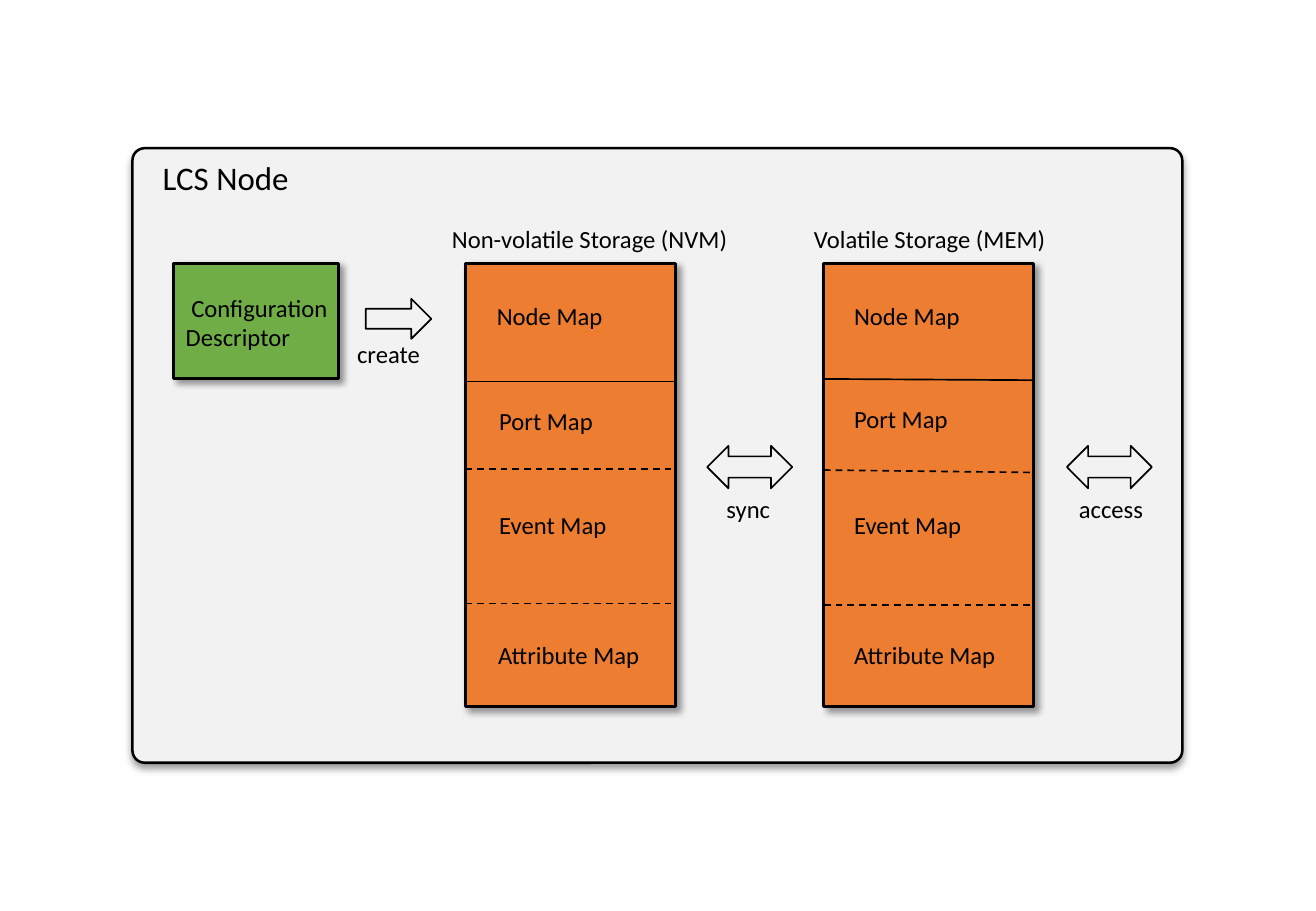
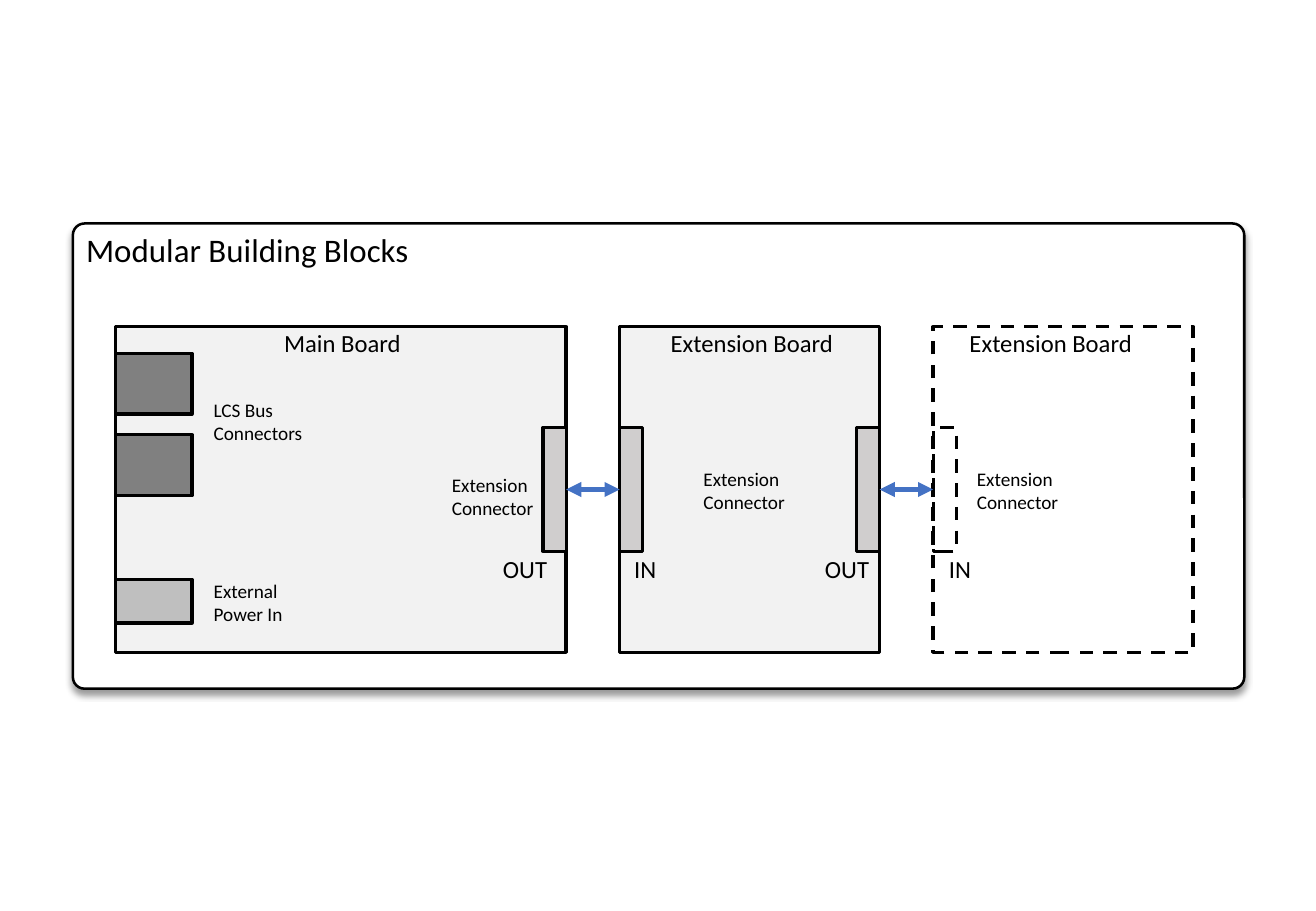
import pptx
import pptx.util
import pptx.dml.color
import pptx.enum.dml
import pptx.enum.shapes
import pptx.oxml.ns
from lxml import etree

PX = 9144  # 100 px to the inch
FONT = "Calibri"
TITLE, BODY, SMALL = 19.5, 14.6, 11.4
COLOR = {
    "ink": "000000", "paper": "FFFFFF", "panel": "F2F2F2",
    "green": "70AD47", "orange": "ED7D31", "blue": "4472C4",
    "bus": "808080", "power": "BFBFBF", "socket": "D0CECE",
}
KIND = pptx.enum.shapes.MSO_SHAPE
qn = pptx.oxml.ns.qn

# Slide 1: text, left, top, width
STORES = [
    {"left": 383, "head": ("Non-volatile Storage (NVM)", 362, 249),
     "lines": [(314, 314, False), (386, 386, True), (497, 497, True)],
     "maps": [("Node Map", 399, 243, 108), ("Port Map", 401, 329, 98),
              ("Event Map", 401, 415, 109), ("Attribute Map", 400, 522, 138)]},
    {"left": 678, "head": ("Volatile Storage (MEM)", 660, 212),
     "lines": [(312, 313, False), (387, 389, True), (498, 498, True)],
     "maps": [("Node Map", 693, 243, 108), ("Port Map", 693, 328, 98),
              ("Event Map", 693, 415, 109), ("Attribute Map", 693, 522, 138)]},
]
STORE_TOP, STORE_W, STORE_H = 217, 173, 365
FLOWS = [  # arrow kind, arrow box, label
    (KIND.RIGHT_ARROW, (301, 246, 54, 33), ("create", 284, 274, 72)),
    (KIND.LEFT_RIGHT_ARROW, (582, 367, 70, 35), ("sync", 588, 402, 56)),
    (KIND.LEFT_RIGHT_ARROW, (878, 367, 70, 35), ("access", 878, 402, 73)),
]

# Slide 2
BOARD_TOP, BOARD_H = 269, 268
SOCKET_W, SOCKET_H = 19, 102
SOCKET_TOP = BOARD_TOP + (BOARD_H - SOCKET_H) // 2
PORT_W = 63
BOARDS = [  # left, width, dashed, sides that carry a socket
    (95, 371, False, ["out"]),
    (510, 214, False, ["in", "out"]),
    (768, 214, True, ["in"]),
]
PORTS = [(291, 50, "bus"), (358, 50, "bus"), (477, 36, "power")]
LABELS = [
    ("Main Board", 224, 265, 117), ("Extension Board", 542, 265, 155),
    ("Extension Board", 788, 265, 155), ("OUT", 404, 451, 57),
    ("IN", 512, 451, 39), ("OUT", 669, 451, 57), ("IN", 771, 451, 39),
]
NOTES = [
    ("LCS Bus\nConnectors", 166, 323, 94),
    ("External\nPower In", 166, 472, 78),
    ("Extension\nConnector", 362, 385, 88),
    ("Extension\nConnector", 569, 380, 88),
    ("Extension\nConnector", 794, 380, 88),
]


def rgb(name):
    return pptx.dml.color.RGBColor.from_string(COLOR[name])


def stroke(line, width, dash=False, color="ink"):
    line.color.rgb = rgb(color)
    line.width = pptx.util.Pt(width)
    if dash:
        line.dash_style = pptx.enum.dml.MSO_LINE.DASH


def cast(shape, angle):
    """Give the shape a soft drop shadow falling at an angle in degrees."""
    glow = etree.SubElement(
        shape._element.spPr.find(qn("a:effectLst")), qn("a:outerShdw"),
        blurRad="50800", dist="38100", dir=str(angle * 60000),
        algn="t", rotWithShape="0")
    ink = etree.SubElement(glow, qn("a:srgbClr"), val=COLOR["ink"])
    etree.SubElement(ink, qn("a:alpha"), val="40000")


def block(slide, box, fill=None, width=2, dash=False, kind=KIND.RECTANGLE, angle=None):
    shape = slide.shapes.add_shape(kind, *(n * PX for n in box))
    shape.shadow.inherit = False
    if fill:
        shape.fill.solid()
        shape.fill.fore_color.rgb = rgb(fill)
    else:
        shape.fill.background()
    stroke(shape.line, width, dash)
    if angle is not None:
        cast(shape, angle)
    return shape


def rule(slide, start, end, width, dash=False, color="ink"):
    line = slide.shapes.add_connector(
        pptx.enum.shapes.MSO_CONNECTOR.STRAIGHT, *(n * PX for n in start + end))
    stroke(line.line, width, dash, color)
    etree.SubElement(line._element.spPr, qn("a:effectLst"))
    return line


def label(slide, text, left, top, width, size=BODY):
    rows = text.split("\n")
    high = round(len(rows) * size * 1.2 / 0.72) + 10
    box = slide.shapes.add_textbox(left * PX, top * PX, width * PX, high * PX)
    frame = box.text_frame
    frame.word_wrap = False
    frame.text = text
    for para in frame.paragraphs:
        para.font.name = FONT
        para.font.size = pptx.util.Pt(size)
        para.font.color.rgb = rgb("ink")


def panel(deck, box, fill, round_by, title):
    """Add a slide holding one titled, rounded panel."""
    slide = deck.slides.add_slide(deck.slide_layouts[6])
    shape = block(slide, box, fill, 1.5, kind=KIND.ROUNDED_RECTANGLE, angle=90)
    shape.adjustments[0] = round_by
    label(slide, *title, size=TITLE)
    return slide


def link(slide, left, right):
    """Join two sockets with a double-headed arrow."""
    mid = SOCKET_TOP + SOCKET_H // 2
    line = rule(slide, (466, mid), (510, mid), 3, color="blue")
    line.begin_connect(left, 3)
    line.end_connect(right, 1)
    for end in ("headEnd", "tailEnd"):
        etree.SubElement(line.line._get_or_add_ln(), qn("a:" + end), type="triangle")


def storage(deck):
    slide = panel(deck, (109, 122, 864, 506), "panel", 0.02,
                  ("LCS Node", 124, 125, 136))
    block(slide, (143, STORE_TOP, 136, 95), "green", 1.75, angle=45)
    label(slide, " Configuration\nDescriptor", 143, 236, 138)
    for store in STORES:
        left = store["left"]
        block(slide, (left, STORE_TOP, STORE_W, STORE_H), "orange", 1.75, angle=45)
        for start, end, dash in store["lines"]:
            rule(slide, (left, start), (left + STORE_W, end), 1, dash)
        text, x, width = store["head"]
        label(slide, text, x, 179, width)
        for item in store["maps"]:
            label(slide, *item)
    for kind, box, text in FLOWS:
        block(slide, box, width=1, kind=kind)
        label(slide, *text)


def modules(deck):
    slide = panel(deck, (60, 184, 964, 383), "paper", 0.025,
                  ("Modular Building Blocks", 61, 184, 288))
    sockets = []
    for left, width, dash, sides in BOARDS:
        block(slide, (left, BOARD_TOP, width, BOARD_H), None if dash else "panel", dash=dash)
        for side in sides:
            x = left if side == "in" else left + width - SOCKET_W
            sockets.append(block(slide, (x, SOCKET_TOP, SOCKET_W, SOCKET_H),
                                 None if dash else "socket", dash=dash))
    for top, high, fill in PORTS:
        block(slide, (BOARDS[0][0], top, PORT_W, high), fill)
    for left, right in zip(sockets[::2], sockets[1::2]):
        link(slide, left, right)
    for item in LABELS:
        label(slide, *item)
    for item in NOTES:
        label(slide, *item, size=SMALL)


def main():
    deck = pptx.Presentation()
    deck.slide_width, deck.slide_height = 1083 * PX, 750 * PX
    storage(deck)
    modules(deck)
    deck.save("out.pptx")


if __name__ == "__main__":
    main()
